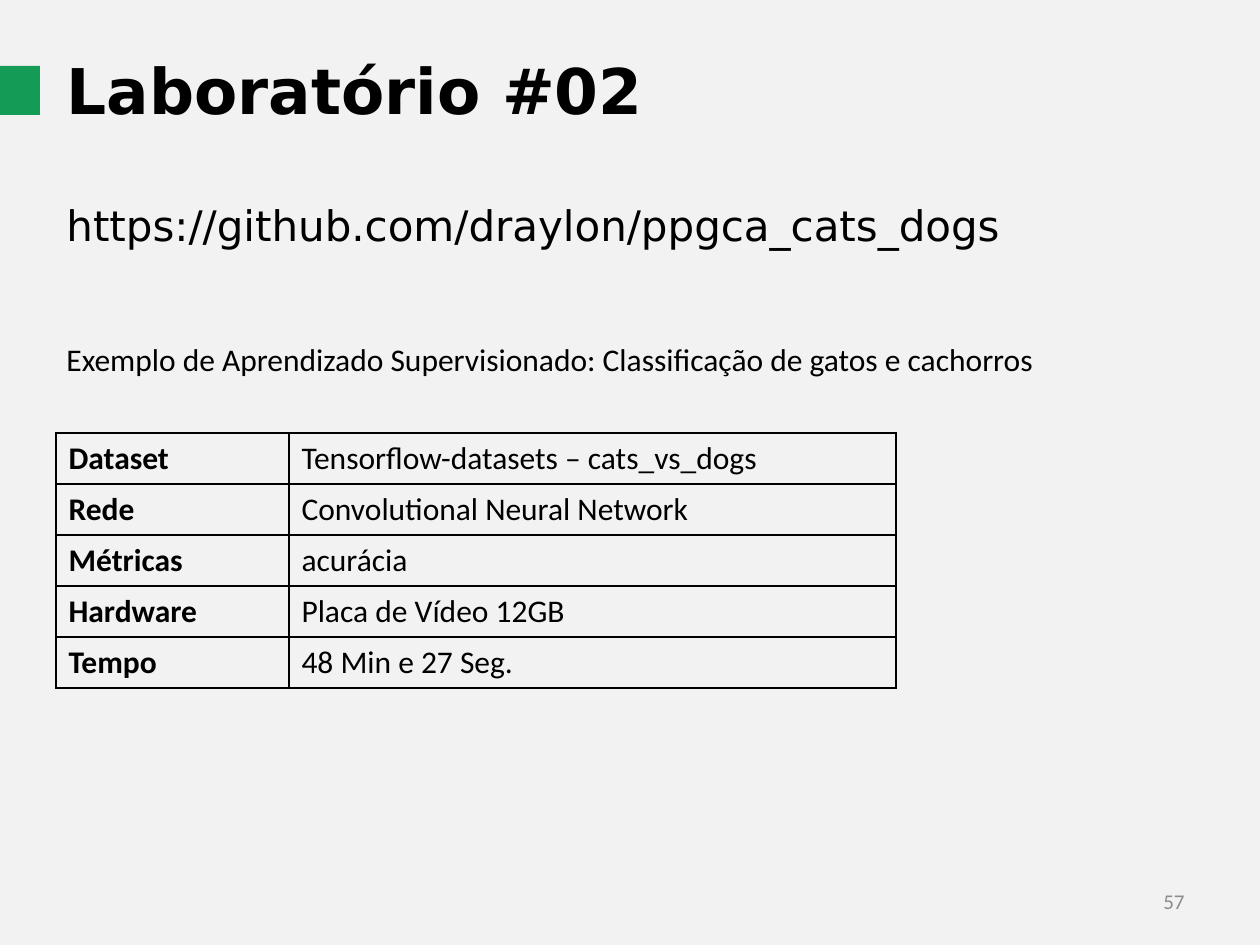
from lxml.etree import SubElement
from pptx import Presentation
from pptx.dml.color import RGBColor
from pptx.enum.shapes import MSO_SHAPE
from pptx.enum.text import MSO_ANCHOR, MSO_AUTO_SIZE, PP_ALIGN
from pptx.oxml.ns import qn
from pptx.util import Pt

PX = 9144000 / 1260  # EMU in one px


def emu(*sizes):
    return [round(size * PX) for size in sizes]


def write(frame, text, size=18, font="Calibri", color="000000", bold=False,
          align=PP_ALIGN.LEFT, anchor=MSO_ANCHOR.TOP, wrap=True,
          fit=MSO_AUTO_SIZE.SHAPE_TO_FIT_TEXT):
    frame.word_wrap = wrap
    frame.auto_size = fit
    frame.vertical_anchor = anchor
    line = frame.paragraphs[0]
    line.alignment = align
    run = line.add_run()
    run.text = text
    run.font.size = Pt(size)
    run.font.name = font
    run.font.bold = bold
    run.font.color.rgb = RGBColor.from_string(color)


deck = Presentation()
deck.slide_width, deck.slide_height = emu(1260, 945)
slide = deck.slides.add_slide(deck.slide_layouts[5])
shapes = slide.shapes
slide.background.fill.solid()
slide.background.fill.fore_color.rgb = RGBColor.from_string("F2F2F2")

# Title
title = shapes.title
title.left, title.top, title.width, title.height = emu(54, 45, 1142, 89)
write(title.text_frame, "Laboratório #02", size=36, font="DejaVu Sans", bold=True)

# Green marker at the left edge
mark = shapes.add_shape(MSO_SHAPE.RECTANGLE, *emu(-5, 66, 45, 49))
mark.shadow.inherit = False
mark.fill.solid()
mark.fill.fore_color.rgb = RGBColor.from_string("149B55")
mark.line.fill.background()

# Link, caption and page number
link = shapes.add_textbox(*emu(54, 193, 1091, 63))
write(link.text_frame, "https://github.com/draylon/ppgca_cats_dogs",
      size=24, font="DejaVu Sans")
lead = shapes.add_textbox(*emu(54, 334, 1004, 51))
write(lead.text_frame,
      "Exemplo de Aprendizado Supervisionado: Classificação de gatos e cachorros",
      wrap=False)
page = shapes.add_textbox(*emu(903, 876, 294, 50))
write(page.text_frame, "57", size=12, color="8C8C8C", align=PP_ALIGN.RIGHT,
      anchor=MSO_ANCHOR.MIDDLE, fit=MSO_AUTO_SIZE.NONE)

# Table of the experiment
rows = [
    ("Dataset", "Tensorflow-datasets – cats_vs_dogs"),
    ("Rede", "Convolutional Neural Network"),
    ("Métricas", "acurácia"),
    ("Hardware", "Placa de Vídeo 12GB"),
    ("Tempo", "48 Min e 27 Seg."),
]
table = shapes.add_table(len(rows), 2, *emu(56, 433, 840, 51 * len(rows))).table
table.first_row = table.horz_banding = False
for col, width in zip(table.columns, emu(233, 607)):
    col.width = width

for r, row in enumerate(rows):
    for c, text in enumerate(row):
        cell = table.cell(r, c)
        write(cell.text_frame, text, bold=c == 0, fit=None)
        # Borders come before the fill in the cell properties
        props = cell._tc.get_or_add_tcPr()
        for side in ("a:lnL", "a:lnR", "a:lnT", "a:lnB"):
            edge = SubElement(props, qn(side), w=str(Pt(1)))
            paint = SubElement(edge, qn("a:solidFill"))
            SubElement(paint, qn("a:srgbClr"), val="000000")
        cell.fill.background()

deck.save("out.pptx")
